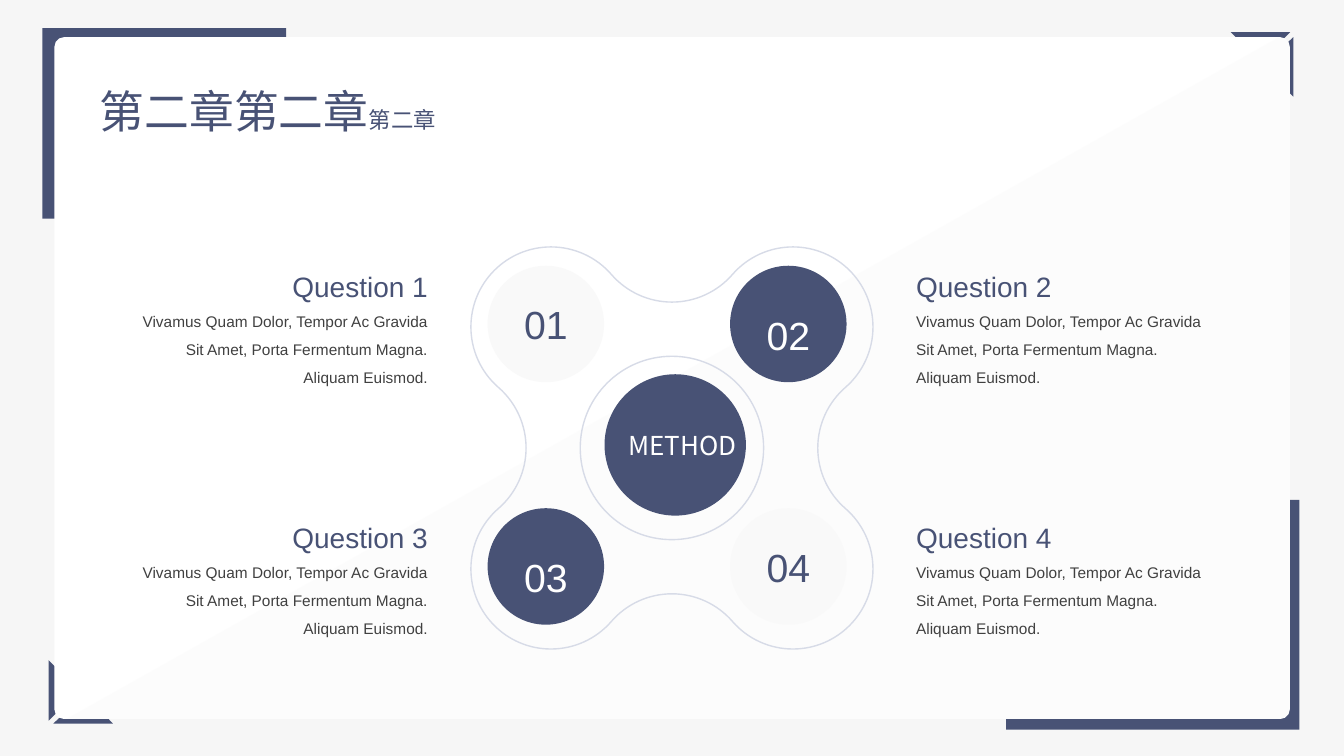
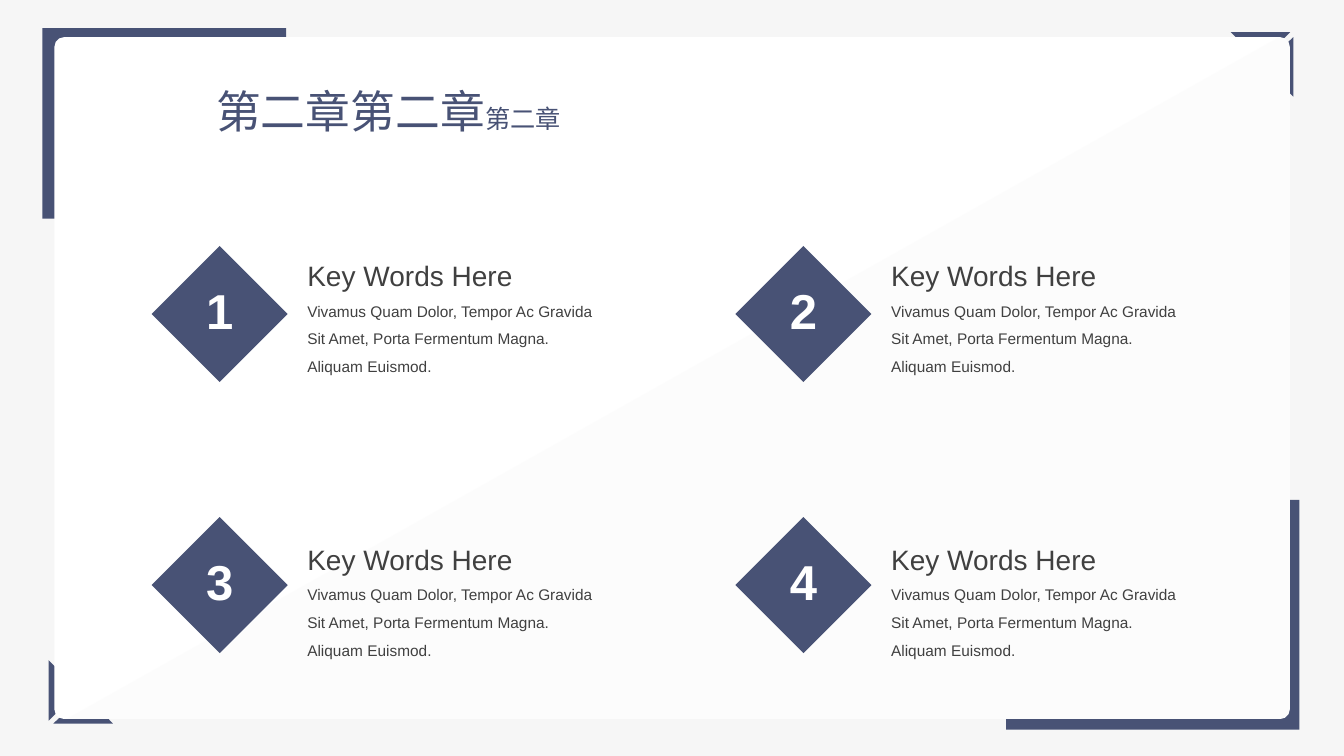
from math import atan2, cos, degrees, radians, sin, sqrt, tan

from lxml.etree import SubElement
from pptx import Presentation
from pptx.dml.color import RGBColor
from pptx.enum.shapes import MSO_SHAPE
from pptx.enum.text import MSO_ANCHOR, MSO_AUTO_SIZE, PP_ALIGN
from pptx.oxml.ns import qn
from pptx.util import Pt

# Shared style
COLORS = {
    "background": "F6F6F6", "navy": "485275", "white": "FFFFFF", "shade": "F2F2F2",
    "pale": "F9F9F9", "outline": "D7DBE7", "text": "404040",
}
LATIN, CJK = "Arial", "Noto Sans CJK SC"

# Content
TITLE, TITLE_SUFFIX = "第二章第二章", "第二章"
BODY = "Vivamus Quam Dolor, Tempor Ac Gravida Sit Amet, Porta Fermentum Magna. Aliquam Euismod."
QUESTIONS = [  # number, heading, circle fill, number colour
    ("01", "Question 1", "pale", "navy"),
    ("02", "Question 2", "navy", "white"),
    ("03", "Question 3", "navy", "white"),
    ("04", "Question 4", "pale", "navy"),
]
HUB_LABEL = "METHOD"
KEY_WORDS = [(number, "Key Words Here") for number in "1234"]

# Frame geometry, in points
SLIDE_SIZE = (960, 540)
CORNER_BLOCKS = [(30.2, 20, 174.2, 136.1), (718.6, 357, 209.5, 164.2)]
CARD = (38.9, 26.6, 882.4, 487)
CARD_RADIUS = 6.8
TICK_PAIRS = [  # bottom left, top right
    [[(45.4, 482.4), (45.4, 504), (34.8, 514.8), (34.8, 471.6)],
     [(80.6, 516.8), (38.2, 516.8), (49, 506.2), (70.6, 506.2)]],
    [[(889.9, 33.8), (910.8, 33.8), (921.6, 23), (879.1, 23)],
     [(923.8, 69.1), (923.8, 26.6), (913, 36.7), (913, 58.3)]],
]


def rgb(name):
    return RGBColor.from_string(COLORS[name])


def paint(shape, fill=None, line=None):
    shape.shadow.inherit = False
    if fill:
        shape.fill.solid()
        shape.fill.fore_color.rgb = rgb(fill)
    else:
        shape.fill.background()
    if line:
        shape.line.color.rgb = rgb(line)
        shape.line.width = Pt(1)
    else:
        shape.line.fill.background()
    return shape


def add_preset(slide, kind, box, fill=None, line=None):
    return paint(slide.shapes.add_shape(kind, *map(Pt, box)), fill, line)


def straight(points):
    """A contour: start point, then one-point segments (lines)."""
    return points[0], [[point] for point in points[1:]]


def arc(center, radius, angles):
    """Three-point segments (curves) through the given angles."""
    def place(angle, along=0):
        return (center[0] + radius * (cos(angle) - along * sin(angle)),
                center[1] + radius * (sin(angle) + along * cos(angle)))

    turns = [radians(angle) for angle in angles]
    segments = []
    for start, end in zip(turns, turns[1:]):
        reach = 4 / 3 * tan((end - start) / 4)
        segments.append([place(start, reach), place(end, -reach), place(end)])
    return segments


def add_outline(slide, contours, fill=None, line=None):
    """Closed contours of lines and curves, as one shape."""
    builder = slide.shapes.build_freeform(*map(Pt, contours[0][0]))
    for index, (start, segments) in enumerate(contours):
        if index:
            builder.move_to(*map(Pt, start))
        ends = [tuple(map(Pt, segment[-1])) for segment in segments]
        builder.add_line_segments(ends, close=True)
    shape = builder.convert_to_shape()

    # Bend the lines that stand for curves
    steps = list(shape.element.iter(qn("a:lnTo")))
    for step, segment in zip(steps, [s for _, segments in contours for s in segments]):
        if len(segment) == 3:
            step.tag = qn("a:cubicBezTo")
            step.remove(step[0])
            for x, y in segment:
                SubElement(step, qn("a:pt"), x=str(Pt(x) - shape.left), y=str(Pt(y) - shape.top))
    return paint(shape, fill, line)


def add_run(paragraph, text, size, color, font=LATIN, bold=False):
    run = paragraph.add_run()
    run.text = text
    run.font.size = Pt(size)
    run.font.bold = bold
    run.font.color.rgb = rgb(color)
    run.font.name = font
    SubElement(run._r.get_or_add_rPr(), qn("a:ea"), typeface=CJK)


def add_label(shape, text, size, color, anchor=MSO_ANCHOR.MIDDLE, spacing=1.0, bold=False):
    shape.text_frame.vertical_anchor = anchor
    paragraph = shape.text_frame.paragraphs[0]
    paragraph.alignment = PP_ALIGN.CENTER
    paragraph.line_spacing = spacing
    add_run(paragraph, text, size, color, bold=bold)


def add_text_box(slide, box):
    frame = slide.shapes.add_textbox(*map(Pt, box)).text_frame
    frame.word_wrap = True
    return frame


def add_topic(slide, box, heading, color, heading_spacing, alignment=PP_ALIGN.LEFT):
    frame = add_text_box(slide, box)
    lines = [(heading, 20, color, heading_spacing), (BODY, 11, "text", 1.5)]
    for index, (text, size, text_color, spacing) in enumerate(lines):
        paragraph = frame.add_paragraph() if index else frame.paragraphs[0]
        paragraph.alignment = alignment
        paragraph.line_spacing = spacing
        add_run(paragraph, text, size, text_color)


def set_title(slide, width, suffix_size, alignment):
    title = slide.shapes.title
    title.left, title.top, title.width, title.height = map(Pt, (64, 56.2, width, 46))
    frame = title.text_frame
    frame.word_wrap = True
    frame.auto_size = MSO_AUTO_SIZE.NONE
    frame.vertical_anchor = MSO_ANCHOR.TOP
    paragraph = frame.paragraphs[0]
    paragraph.alignment = alignment
    add_run(paragraph, TITLE, 32, "navy", CJK)
    add_run(paragraph, TITLE_SUFFIX, suffix_size, "navy")


def grid(left, top, column_gap, row_gap, width, height):
    """Four boxes, row by row."""
    return [(left + column * column_gap, top + row * row_gap, width, height)
            for row in range(2) for column in range(2)]


def build_frame(slide, layout):
    """Draw the card and its corners, then move them to the shared layout."""
    layout.background.fill.solid()
    layout.background.fill.fore_color.rgb = rgb("background")
    parts = [add_preset(slide, MSO_SHAPE.RECTANGLE, box, "navy") for box in CORNER_BLOCKS]
    parts += [add_outline(slide, [straight(tick) for tick in pair], "navy")
              for pair in TICK_PAIRS]

    card = add_preset(slide, MSO_SHAPE.ROUNDED_RECTANGLE, CARD, "white")
    card.adjustments[0] = CARD_RADIUS / CARD[3]
    left, top, width, height = CARD
    right, bottom = left + width, top + height
    inner = right - CARD_RADIUS
    segments = [[(inner, top)]]
    segments += arc((inner, top + CARD_RADIUS), CARD_RADIUS, (-90, 0))
    segments += [[(right, bottom - CARD_RADIUS)]]
    segments += arc((inner, bottom - CARD_RADIUS), CARD_RADIUS, (0, 90))
    segments += [[(left + 8.6, bottom)]]
    shade = add_outline(slide, [((inner - 1, top), segments)], "shade")
    SubElement(shade.element.find(".//" + qn("a:srgbClr")), qn("a:alpha"), val="16000")

    for part in parts + [card, shade]:
        layout.shapes.element.append(part.element)


def four_lobes(center, offset, radius):
    """Four lobes joined by tangent necks of the same radius."""
    rise = sqrt((2 * radius) ** 2 - offset ** 2)
    tilt = degrees(atan2(rise, offset))
    segments = []
    quarter = arc((-offset, -offset), radius, (90 + tilt, 180, 270, 360 - tilt))
    quarter += arc((0, -offset - rise), radius, (180 - tilt, 90, tilt))
    for _ in range(4):
        segments += [[(center[0] + x, center[1] + y) for x, y in curve] for curve in quarter]
        quarter = [[(-y, x) for x, y in curve] for curve in quarter]
    return segments[-1][-1], segments


def build_questions(slide):
    set_title(slide, 456, 16, PP_ALIGN.LEFT)

    # Linked outline with its inner ring
    center, ring = (480, 320), 65.5
    ring_contour = (center[0], center[1] + ring), arc(center, ring, (90, 180, 270, 360, 450))
    add_outline(slide, [four_lobes(center, 86.4, 57.2), ring_contour], line="outline")

    # Numbered circles and their topics
    circles = grid(348.3, 189.8, 173.2, 173.2, 83.2, 83.2)
    topics = grid(87.4, 177.1, 559.9, 179.3, 225.4, 103.7)
    for index, (number, heading, fill, color) in enumerate(QUESTIONS):
        circle = add_preset(slide, MSO_SHAPE.OVAL, circles[index], fill)
        if fill == "navy":
            add_label(circle, number, 28, color, MSO_ANCHOR.TOP, 1.5)
        else:
            add_label(circle, number, 28, color)
        alignment = PP_ALIGN.LEFT if index % 2 else PP_ALIGN.RIGHT
        add_topic(slide, topics[index], heading, "navy", 1.5, alignment)

    # Hub
    add_preset(slide, MSO_SHAPE.OVAL, (431.8, 267.3, 101, 101), "navy")
    paragraph = add_text_box(slide, (431.6, 303.1, 101.5, 29.5)).paragraphs[0]
    paragraph.alignment = PP_ALIGN.RIGHT
    add_run(paragraph, HUB_LABEL, 18.6, "white", CJK)


def build_key_words(slide):
    set_title(slide, 427, 18, PP_ALIGN.CENTER)
    diamonds = grid(108.3, 175.7, 417, 193.6, 97.2, 97.2)
    topics = grid(212.4, 157.3, 417, 202.5, 222.5, 115.9)
    for (number, heading), diamond_box, topic_box in zip(KEY_WORDS, diamonds, topics):
        diamond = add_preset(slide, MSO_SHAPE.DIAMOND, diamond_box, "navy")
        frame = diamond.text_frame
        frame.margin_left = frame.margin_right = frame.margin_top = frame.margin_bottom = 0
        add_label(diamond, number, 35, "white", spacing=0.9, bold=True)
        add_topic(slide, topic_box, heading, "text", 2.0)


def main():
    presentation = Presentation()
    presentation.slide_width, presentation.slide_height = map(Pt, SLIDE_SIZE)
    layout = presentation.slide_layouts.get_by_name("Title Only")
    slides = [presentation.slides.add_slide(layout) for _ in range(2)]
    build_frame(slides[0], layout)
    build_questions(slides[0])
    build_key_words(slides[1])
    presentation.save("out.pptx")


if __name__ == "__main__":
    main()
